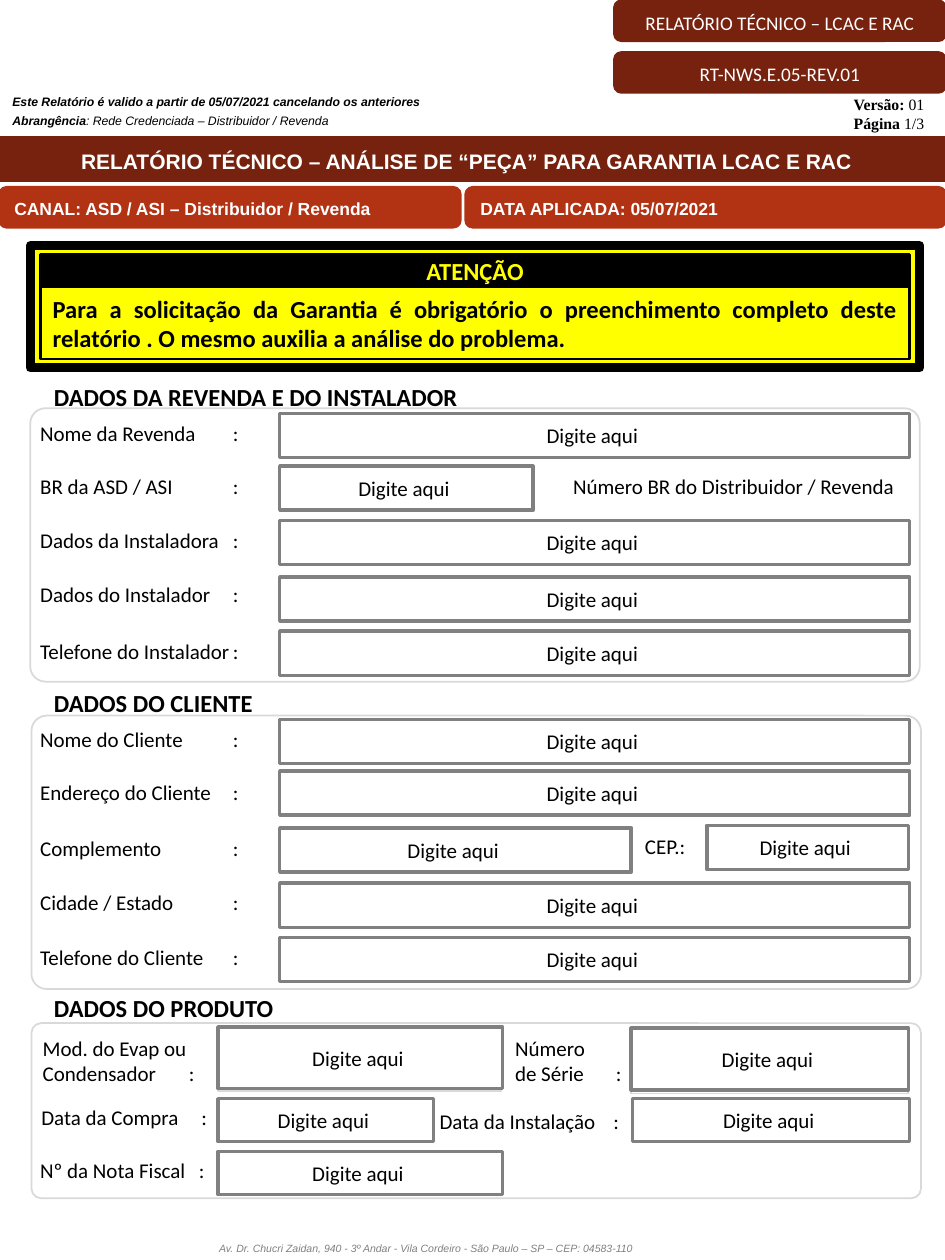
from lxml import etree
from pptx import Presentation
from pptx.dml.color import RGBColor
from pptx.enum.shapes import MSO_SHAPE
from pptx.enum.text import MSO_ANCHOR, MSO_AUTO_SIZE, PP_ALIGN
from pptx.oxml.ns import qn
from pptx.util import Inches, Pt

RECT, ROUND = MSO_SHAPE.RECTANGLE, MSO_SHAPE.ROUNDED_RECTANGLE
TOP, MID = MSO_ANCHOR.TOP, MSO_ANCHOR.MIDDLE
LEFT, CENTER, JUST = PP_ALIGN.LEFT, PP_ALIGN.CENTER, PP_ALIGN.JUSTIFY

COLORS = {"dark": "77220E", "red": "B23214", "yellow": "FFFF00", "black": "000000",
          "white": "FFFFFF", "gray": "808080", "pale": "D9D9D9"}

# Content: header and footer
TITLE = "RELATÓRIO TÉCNICO – ANÁLISE DE “PEÇA” PARA GARANTIA LCAC E RAC"
TAGS = ["RELATÓRIO TÉCNICO – LCAC E RAC", "RT-NWS.E.05-REV.01"]
VALID = "Este Relatório é valido a partir de 05/07/2021 cancelando os anteriores"
SCOPE = [("Abrangência", True), (": Rede Credenciada – Distribuidor / Revenda", False)]
ISSUE = [[("Versão:", True), (" 01", False)], [("Página", True), (" 1/3", False)]]
BARS = [("CANAL: ASD / ASI – Distribuidor / Revenda", 0, 3.65),
        ("DATA APLICADA: 05/07/2021", 3.7, 3.8)]
ALERT = "ATENÇÃO"
NOTICE = ("Para a solicitação da Garantia é obrigatório o preenchimento completo "
          "deste relatório . O mesmo auxilia a análise do problema.")
FOOTER = ("Av. Dr. Chucri Zaidan, 940 - 3º Andar - Vila Cordeiro - São Paulo – SP – "
          "CEP: 04583-110")
HINT = "Digite aqui "

# Content: sections (heading, heading top, panel left, panel top, panel height)
PANELS = [("DADOS DA REVENDA E DO INSTALADOR", 2.98, 0.24, 3.24, 2.17),
          ("DADOS DO CLIENTE", 5.41, 0.25, 5.68, 2.17),
          ("DADOS DO PRODUTO", 7.83, 0.25, 8.12, 1.39)]

# Content: rows (label, label top, field top, field width)
ROWS = [("Nome da Revenda", 3.29, 3.28, 5), ("BR da ASD / ASI", 3.71, 3.7, 2.01),
        ("Dados da Instaladora", 4.14, 4.13, 5), ("Dados do Instalador", 4.57, 4.58, 5),
        ("Telefone do Instalador", 5.02, 5.01, 5),
        ("Nome do Cliente", 5.72, 5.71, 5), ("Endereço do Cliente", 6.14, 6.12, 5),
        ("Complemento", 6.58, 6.57, 2.79), ("Cidade / Estado", 7.01, 7.01, 5),
        ("Telefone do Cliente", 7.45, 7.44, 5)]

# Content: product labels (lines, left, top, colon place) and other fields
GOODS = [(["Mod. do Evap ou", "Condensador\t:"], 0.24, 8.17, 1.16),
         (["Número", "de Série\t:"], 3.99, 8.17, 0.8),
         (["Data da Compra\t:"], 0.23, 8.72, 1.27),
         (["Data da Instalação\t:"], 3.39, 8.75, 1.38),
         (["Nº da Nota Fiscal\t:"], 0.22, 9.14, 1.26)]
EXTRAS = [("CEP.:", 5.02, 6.57), ("Número BR do Distribuidor / Revenda", 4.45, 3.71)]
FIELDS = [(5.61, 6.55, 1.6, 0.35), (1.73, 8.15, 2.26, 0.49), (5.01, 8.16, 2.2, 0.49),
          (1.73, 8.72, 1.71, 0.34), (5.02, 8.72, 2.2, 0.34), (1.73, 9.14, 2.26, 0.34)]
FRAMES = [(1.73, 8.15, 2.25, 0.51), (5.01, 8.17, 2.2, 0.51)]

# Text formats
SMALL = {"name": "Arial", "size": Pt(7), "italic": True}
HEAD = {"name": "Calibri", "size": Pt(14), "bold": True}
BODY = {"name": "Calibri", "size": Pt(12)}
LOOSE = {"line_spacing": 1.15, "space_after": Pt(10)}


def rgb(key):
    return RGBColor.from_string(COLORS[key])


def write(shape, lines, font, color="black", align=LEFT, anchor=TOP, wrap=True,
          tab=None, gaps=None, insets=None):
    """Fill a shape with lines; a line is a string or a list of (text, bold)."""
    frame = shape.text_frame
    form = {"word_wrap": wrap, "auto_size": MSO_AUTO_SIZE.NONE, "vertical_anchor": anchor}
    for key, val in {**form, **(insets or {})}.items():
        setattr(frame, key, val)
    for i, line in enumerate(lines):
        para = frame.add_paragraph() if i else frame.paragraphs[0]
        if tab:
            stops = etree.SubElement(para._p.get_or_add_pPr(), qn("a:tabLst"))
            etree.SubElement(stops, qn("a:tab"), pos=str(Inches(tab)), algn="l")
        for key, val in {"alignment": align, **(gaps or {})}.items():
            setattr(para, key, val)
        parts = [(line, font.get("bold", False))] if isinstance(line, str) else line
        for text, bold in parts:
            run = para.add_run()
            run.text = text
            for key, val in {**font, "bold": bold}.items():
                setattr(run.font, key, val)
            run.font.color.rgb = rgb(color)


def paint(shape, fill, line, width):
    if fill:
        shape.fill.solid()
        shape.fill.fore_color.rgb = rgb(fill)
    else:
        shape.fill.background()
    shape.line.color.rgb = rgb(line)
    shape.line.width = Pt(width)


def block(kind, box, fill, line, width):
    shape = slide.shapes.add_shape(kind, *map(Inches, box))
    shape.shadow.inherit = False
    paint(shape, fill, line, width)
    return shape


def label(box, lines, font, **form):
    write(slide.shapes.add_textbox(*map(Inches, box)), lines, font, **form)


deck = Presentation()
deck.slide_width, deck.slide_height = Inches(7.5), Inches(10)
slide = deck.slides.add_slide(deck.slide_layouts[5])

# Title banner
title = slide.shapes.title
title.left, title.top, title.width, title.height = map(Inches, (0, 1.09, 7.51, 0.34))
geom = etree.SubElement(title._element.spPr, qn("a:prstGeom"), prst="roundRect")
etree.SubElement(geom, qn("a:avLst"))
paint(title, "dark", "dark", 2)
write(title, [TITLE], {"name": "Arial", "size": Pt(12), "bold": True}, "white", CENTER,
      MID, gaps=LOOSE, insets={"margin_right": Inches(0.2)})

# Header tags, notes and bars
for i, text in enumerate(TAGS):
    tag = block(ROUND, (4.88, 0.01 + i * 0.41, 2.62, 0.31), "dark", "dark", 2)
    write(tag, [text], {"name": "Calibri", "size": Pt(11)}, "white", CENTER, MID, gaps=LOOSE)
label((0, 0.68, 4.38, 0.14), [VALID], {**SMALL, "bold": True}, gaps=LOOSE)
label((0, 0.83, 4.16, 0.23), [SCOPE], SMALL, gaps=LOOSE)
sides = ("margin_left", "margin_right", "margin_top", "margin_bottom")
label((6.63, 0.73, 0.85, 0.35), ISSUE, {"name": "Times New Roman", "size": Pt(9)},
      align=CENTER, anchor=MID, insets=dict.fromkeys(sides, 0))
for text, x, w in BARS:
    bar = block(ROUND, (x, 1.49, w, 0.31), "red", "red", 2)
    write(bar, [text], {"name": "Arial", "size": Pt(10), "bold": True}, "white",
          anchor=MID, gaps=LOOSE)

# Warning box
block(RECT, (0.24, 1.95, 7.06, 0.97), "yellow", "black", 5.25)
note = block(RECT, (0.32, 2.04, 6.9, 0.81), "yellow", "black", 1.5)
write(note, [NOTICE], HEAD, align=JUST, insets={"margin_top": Inches(0.29)})
alert = block(RECT, (0.32, 2.02, 6.9, 0.25), "black", "black", 2)
write(alert, [ALERT], HEAD, "yellow", CENTER, MID)

# Section headings and panels
for text, y, x, top, h in PANELS:
    label((0.33, y, 3.43, 0.34), [text], HEAD, wrap=False)
    panel = block(ROUND, (x, top, 7.06, h), None, "pale", 1)
    panel.adjustments[0] = 0.056

# Labels
for text, y, *_ in ROWS:
    label((0.22, y, 1.88, 0.3), [text + "\t:"], BODY, wrap=False, tab=1.53)
for lines, x, y, tab in GOODS:
    label((x, y, 1.6, 0.1 + 0.2 * len(lines)), lines, BODY, wrap=False, tab=tab)
for text, x, y in EXTRAS:
    label((x, y, 0.53 if x > 5 else 2.78, 0.3), [text], BODY, wrap=False)

# Fields to fill in
for box in FRAMES:
    block(RECT, box, None, "pale", 1)
for box in [(2.22, y, w, 0.35) for _, _, y, w in ROWS] + FIELDS:
    write(block(RECT, box, None, "gray", 2), [HINT], BODY, align=CENTER, anchor=MID)

# Footer
label((0, 9.79, 6.76, 0.21), [FOOTER], {**SMALL, "size": Pt(6)}, color="gray",
      align=CENTER, gaps=LOOSE)

deck.save("out.pptx")
